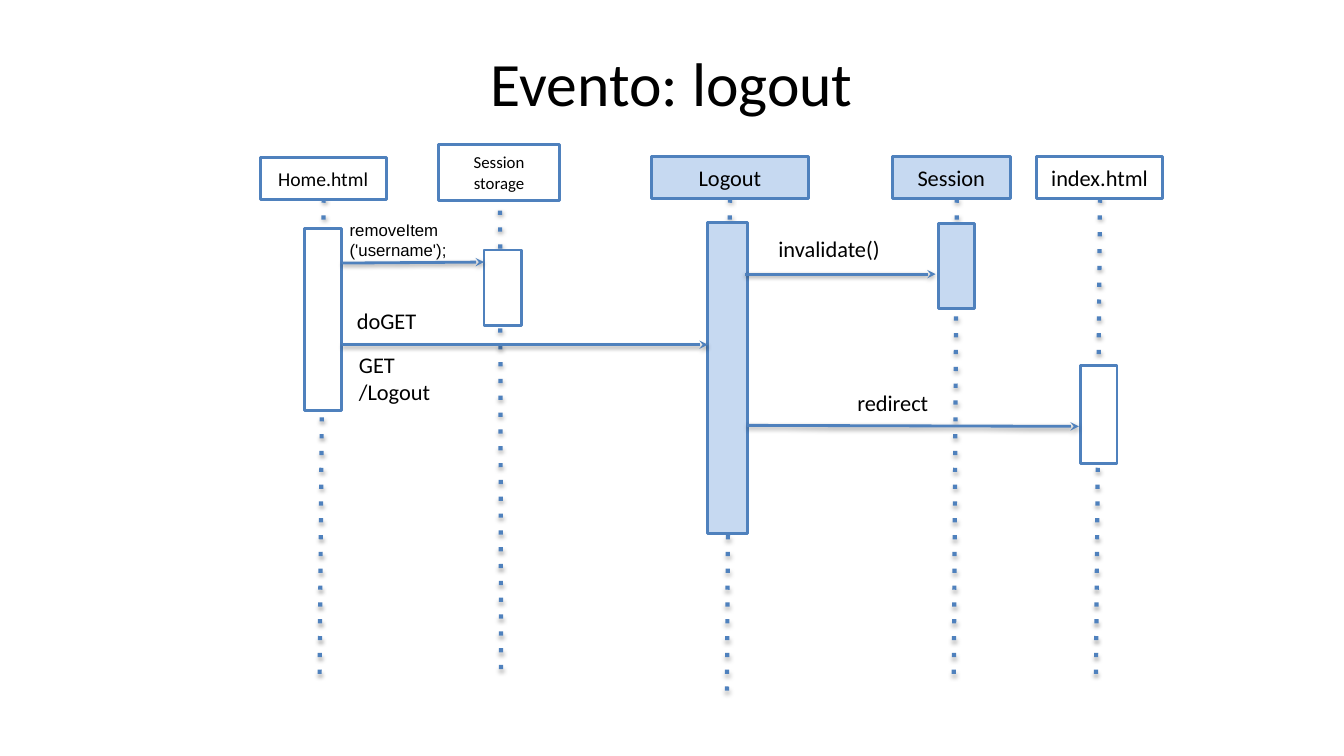
from dataclasses import dataclass

import lxml.etree
import pptx
import pptx.dml.color
import pptx.enum.shapes
import pptx.enum.text
import pptx.oxml
import pptx.oxml.ns
import pptx.shapes.autoshape
import pptx.shapes.connector
import pptx.slide
import pptx.text.text
import pptx.util

Inches = pptx.util.Inches
Point = tuple[float, float]
Box = tuple[float, float, float, float]  # left, top, width, height


@dataclass(frozen=True)
class Theme:
    outline: str = "4F81BD"
    text: str = "000000"
    client: str = "FFFFFF"
    server: str = "C6D9F1"
    font: str = "Calibri"
    code_font: str = "Arial"
    title_size: int = 44
    body_size: int = 16
    medium_size: int = 14
    small_size: int = 12
    line_width: int = 2
    lifeline_width: int = 3


THEME = Theme()


@dataclass(frozen=True)
class Participant:
    name: str
    header: Box
    activation: Box
    lifeline_start: Point
    lifeline_end: Point
    fill: str = THEME.client
    size: int = THEME.body_size


@dataclass(frozen=True)
class Message:
    start: Point
    end: Point


@dataclass(frozen=True)
class Label:
    text: str
    box: Box
    size: int = THEME.body_size
    font: str = THEME.font
    centered: bool = False
    middle: bool = False
    wrap: bool = True
    margins: Point = (0.12, 0.06)


PARTICIPANTS = [
    Participant("Logout", (6.46, 1.55, 1.56, 0.42), (7.02, 2.21, 0.39, 3.08),
                (7.24, 1.97), (7.21, 6.88), fill=THEME.server),
    Participant("Session", (8.85, 1.55, 1.17, 0.42), (9.31, 2.22, 0.36, 0.84),
                (9.49, 1.97), (9.46, 6.72), fill=THEME.server),
    Participant("index.html", (10.28, 1.55, 1.25, 0.42), (10.72, 3.63, 0.36, 0.97),
                (10.91, 1.97), (10.87, 6.72)),
    Participant("Home.html", (2.58, 1.56, 1.25, 0.42), (3.02, 2.27, 0.37, 1.8),
                (3.21, 1.97), (3.17, 6.72), size=THEME.medium_size),
    Participant("Session storage", (4.35, 1.43, 1.2, 0.56), (4.8, 2.48, 0.37, 0.75),
                (4.96, 2.09), (4.97, 6.72), size=THEME.small_size),
]

MESSAGES = [
    Message((7.39, 2.72), (9.28, 2.72)),
    Message((7.41, 4.22), (10.7, 4.23)),
    Message((3.39, 2.61), (4.8, 2.6)),
    Message((3.39, 3.42), (7.02, 3.42)),
]

LABELS = [
    Label("Evento: logout", (0, 0.26, 13.33, 1.1), size=THEME.title_size,
          centered=True, middle=True),
    Label("doGET", (3.42, 2.99, 1.24, 0.4)),
    Label("GET\n/Logout", (3.44, 3.42, 1.37, 0.75)),
    Label("redirect", (7.6, 3.8, 2.51, 0.37), centered=True),
    Label("invalidate()", (7.6, 2.27, 1.9, 0.34)),
    Label("removeItem\v('username');", (3.37, 2.13, 1.17, 0.5), size=THEME.small_size,
          font=THEME.code_font, wrap=False, margins=(0.1, 0.05)),
]


def rgb(color: str) -> pptx.dml.color.RGBColor:
    return pptx.dml.color.RGBColor.from_string(color)


def write_text(frame: pptx.text.text.TextFrame, label: Label) -> None:
    frame.text = label.text
    frame.word_wrap = label.wrap
    if not label.wrap:
        frame.auto_size = pptx.enum.text.MSO_AUTO_SIZE.SHAPE_TO_FIT_TEXT
    anchors = pptx.enum.text.MSO_ANCHOR
    frame.vertical_anchor = anchors.MIDDLE if label.middle else anchors.TOP
    horizontal, vertical = map(Inches, label.margins)
    frame.margin_left = frame.margin_right = horizontal
    frame.margin_top = frame.margin_bottom = vertical
    alignments = pptx.enum.text.PP_ALIGN
    for paragraph in frame.paragraphs:
        paragraph.alignment = alignments.CENTER if label.centered else alignments.LEFT
        paragraph.font.name = label.font
        paragraph.font.size = pptx.util.Pt(label.size)
        paragraph.font.color.rgb = rgb(THEME.text)


def add_label(slide: pptx.slide.Slide, label: Label) -> None:
    shape = slide.shapes.add_textbox(*map(Inches, label.box))
    write_text(shape.text_frame, label)


def add_rectangle(slide: pptx.slide.Slide, box: Box,
                  fill: str) -> pptx.shapes.autoshape.Shape:
    shape = slide.shapes.add_shape(
        pptx.enum.shapes.MSO_SHAPE.RECTANGLE, *map(Inches, box))
    shape.shadow.inherit = False
    shape.fill.solid()
    shape.fill.fore_color.rgb = rgb(fill)
    shape.line.color.rgb = rgb(THEME.outline)
    shape.line.width = pptx.util.Pt(THEME.line_width)
    return shape


def add_shadow(connector: pptx.shapes.connector.Connector, distance: float,
               opacity: int) -> None:
    """Drop a soft shadow straight down: distance in points, opacity in percent."""
    namespace = pptx.oxml.ns.nsdecls("a")
    connector.element.spPr.append(pptx.oxml.parse_xml(
        f'<a:effectLst {namespace}><a:outerShdw blurRad="{pptx.util.Pt(3.1)}" '
        f'dist="{pptx.util.Pt(distance)}" dir="5400000" rotWithShape="0">'
        f'<a:srgbClr val="000000"><a:alpha val="{opacity * 1000}"/></a:srgbClr>'
        '</a:outerShdw></a:effectLst>'))


def add_line(slide: pptx.slide.Slide, start: Point, end: Point, width: int,
             detail: str, value: str) -> pptx.shapes.connector.Connector:
    """Draw a line with one extra line property: a dash or an arrowhead."""
    connector = slide.shapes.add_connector(
        pptx.enum.shapes.MSO_CONNECTOR.STRAIGHT, *map(Inches, start + end))
    connector.line.color.rgb = rgb(THEME.outline)
    connector.line.width = pptx.util.Pt(width)
    line = connector.element.spPr.find(pptx.oxml.ns.qn("a:ln"))
    attribute = "val" if detail == "a:prstDash" else "type"
    lxml.etree.SubElement(line, pptx.oxml.ns.qn(detail)).set(attribute, value)
    return connector


def add_participant(slide: pptx.slide.Slide, participant: Participant) -> None:
    lifeline = add_line(slide, participant.lifeline_start, participant.lifeline_end,
                        THEME.lifeline_width, "a:prstDash", "dot")
    add_shadow(lifeline, distance=1.8, opacity=35)
    header = add_rectangle(slide, participant.header, participant.fill)
    write_text(header.text_frame, Label(
        participant.name, participant.header, participant.size,
        centered=True, middle=True))
    add_rectangle(slide, participant.activation, participant.fill)


def add_message(slide: pptx.slide.Slide, message: Message) -> None:
    arrow = add_line(slide, message.start, message.end, THEME.line_width,
                     "a:tailEnd", "stealth")
    add_shadow(arrow, distance=1.6, opacity=38)


def main() -> None:
    presentation = pptx.Presentation()
    presentation.slide_width = Inches(13.33)
    presentation.slide_height = Inches(7.5)
    slide = presentation.slides.add_slide(presentation.slide_layouts[6])
    for participant in PARTICIPANTS:
        add_participant(slide, participant)
    for message in MESSAGES:
        add_message(slide, message)
    for label in LABELS:
        add_label(slide, label)
    presentation.save("out.pptx")


if __name__ == "__main__":
    main()
